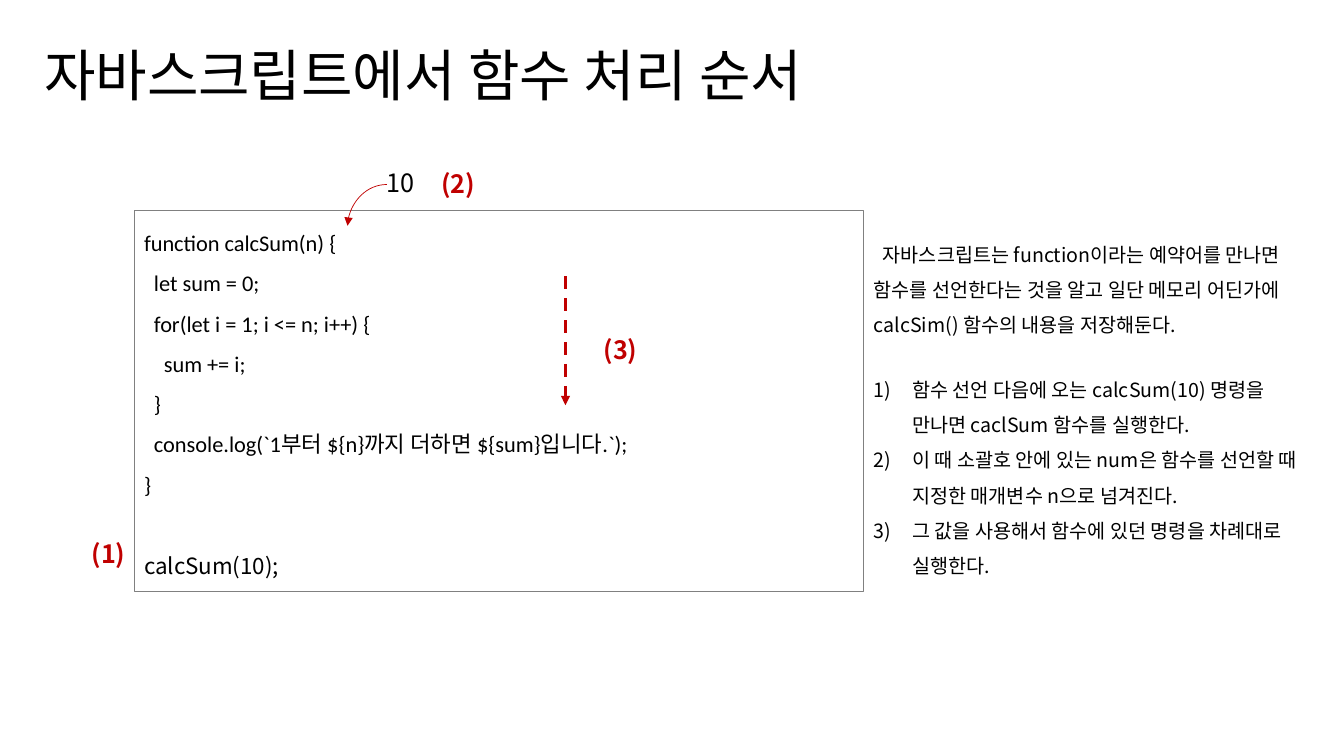
"""Build a slide on the order in which JavaScript handles a function."""

from dataclasses import dataclass

from lxml.etree import SubElement
from pptx import Presentation
from pptx.dml.color import RGBColor as Rgb
from pptx.enum.dml import MSO_LINE as Dash
from pptx.enum.shapes import MSO_CONNECTOR as Link, MSO_SHAPE as Kind
from pptx.enum.text import MSO_ANCHOR as Anchor, MSO_AUTO_SIZE as Fit, PP_ALIGN as Align
from pptx.oxml.ns import qn
from pptx.shapes.base import BaseShape
from pptx.slide import Slide
from pptx.util import Cm, Pt


@dataclass(frozen=True)
class Theme:
    ink: Rgb = Rgb(0, 0, 0)
    red: Rgb = Rgb(0xC0, 0, 0)
    edge: Rgb = Rgb(0x80, 0x80, 0x80)
    code: str = "Calibri"
    sans: str = "Noto Sans CJK KR"
    head: int = 40
    mark: int = 18
    body: int = 16
    note: int = 14


THEME = Theme()


@dataclass(frozen=True)
class Box:
    left: float
    top: float
    width: float
    height: float


@dataclass(frozen=True)
class Para:
    text: str
    size: int
    font: str = THEME.sans
    color: Rgb = THEME.ink
    bold: bool = False
    space: float = 1.0
    before: int = 0
    left: float = 0
    first: float = 0
    count: bool = False


@dataclass(frozen=True)
class Label:
    box: Box
    para: Para


@dataclass(frozen=True)
class Arrow:
    kind: Link
    start: tuple[float, float]
    end: tuple[float, float]
    width: float
    dash: bool = False


def code(text: str, level: int = 0, font: str = THEME.code, before: int = 0) -> Para:
    return Para(text, THEME.body, font, space=1.5, before=before, left=0.25 * level)


def step(text: str, before: int = 0) -> Para:
    return Para(text, THEME.note, space=1.5, before=before, left=0.97, first=-0.97, count=True)


def mark(text: str) -> Para:
    return Para(text, THEME.mark, color=THEME.red, bold=True)


TITLE = Label(Box(0.86, 0.89, 21.21, 1.96), Para("자바스크립트에서 함수 처리 순서", THEME.head))
FRAME = Box(3.38, 5.31, 18.39, 9.6)
CODE = [
    code("function calcSum(n) {"),
    code("let sum = 0;", 1),
    code("for(let i = 1; i <= n; i++) {", 1),
    code("sum += i;", 2),
    code("}", 1),
    code("console.log(`1부터 ${n}까지 더하면 ${sum}입니다.`);", 1),
    code("}"),
    code("calcSum(10);", font=THEME.sans, before=29),
]
ASIDE = Box(21.77, 5.69, 11.23, 8.99)
NOTES = [
    Para(
        "자바스크립트는 function이라는 예약어를 만나면 함수를 선언한다는 것을 알고 "
        "일단 메모리 어딘가에 calcSim() 함수의 내용을 저장해둔다.",
        THEME.note, space=1.5, first=0.23,
    ),
    step("함수 선언 다음에 오는 calcSum(10) 명령을 만나면 caclSum 함수를 실행한다.", 21),
    step("이 때 소괄호 안에 있는 num은 함수를 선언할 때 지정한 매개변수 n으로 넘겨진다."),
    step("그 값을 사용해서 함수에 있던 명령을 차례대로 실행한다."),
]
LABELS = [
    Label(Box(2.06, 13.44, 2.06, 1.02), mark("(1)")),
    Label(Box(9.5, 4.09, 4.22, 1.02), Para("10", THEME.mark)),
    Label(Box(10.87, 4.11, 2.34, 1.02), mark("(2)")),
    Label(Box(14.96, 8.31, 2.34, 1.02), mark("(3)")),
]
ARROWS = [
    Arrow(Link.STRAIGHT, (14.25, 6.96), (14.25, 10.21), 2.25, dash=True),
    Arrow(Link.CURVE, (9.75, 4.65), (8.76, 5.69), 0.5),
]


def sides(box: Box) -> list[Cm]:
    return [Cm(n) for n in (box.left, box.top, box.width, box.height)]


def write(shape: BaseShape, paras: list[Para]) -> None:
    frame = shape.text_frame
    frame.word_wrap = True
    frame.auto_size = Fit.NONE
    frame.vertical_anchor = Anchor.TOP
    for i, para in enumerate(paras):
        line = frame.add_paragraph() if i else frame.paragraphs[0]
        line.alignment = Align.LEFT
        line.line_spacing = para.space
        line.space_before = Pt(para.before)
        props = line._p.get_or_add_pPr()
        props.set("marL", str(Cm(para.left)))
        props.set("indent", str(Cm(para.first)))
        if para.count:
            SubElement(props, qn("a:buAutoNum"), type="arabicParenR")
        run = line.add_run()
        run.text = para.text
        font = run.font
        font.name, font.size, font.bold = para.font, Pt(para.size), para.bold
        font.color.rgb = para.color
        SubElement(run._r.get_or_add_rPr(), qn("a:ea"), typeface=THEME.sans)


def place(slide: Slide, box: Box, paras: list[Para]) -> None:
    write(slide.shapes.add_textbox(*sides(box)), paras)


def draw(slide: Slide, arrow: Arrow) -> None:
    ends = [Cm(n) for n in (*arrow.start, *arrow.end)]
    link = slide.shapes.add_connector(arrow.kind, *ends)
    link.line.color.rgb = THEME.red
    link.line.width = Pt(arrow.width)
    if arrow.dash:
        link.line.dash_style = Dash.DASH
    props = link._element.spPr
    if arrow.kind == Link.CURVE:
        props.find(qn("a:prstGeom")).set("prst", "curvedConnector2")
    SubElement(props.find(qn("a:ln")), qn("a:tailEnd"), type="triangle")
    SubElement(props, qn("a:effectLst"))


def main() -> None:
    deck = Presentation()
    deck.slide_width, deck.slide_height = Cm(33.87), Cm(19.05)
    slide = deck.slides.add_slide(deck.slide_layouts[5])

    title = slide.shapes.title
    title.left, title.top, title.width, title.height = sides(TITLE.box)
    write(title, [TITLE.para])

    panel = slide.shapes.add_shape(Kind.RECTANGLE, *sides(FRAME))
    panel.shadow.inherit = False
    panel.fill.background()
    panel.line.color.rgb = THEME.edge
    panel.line.width = Pt(0.75)
    write(panel, CODE)

    place(slide, ASIDE, NOTES)
    for label in LABELS:
        place(slide, label.box, [label.para])
    for arrow in ARROWS:
        draw(slide, arrow)

    deck.save("out.pptx")


if __name__ == "__main__":
    main()
